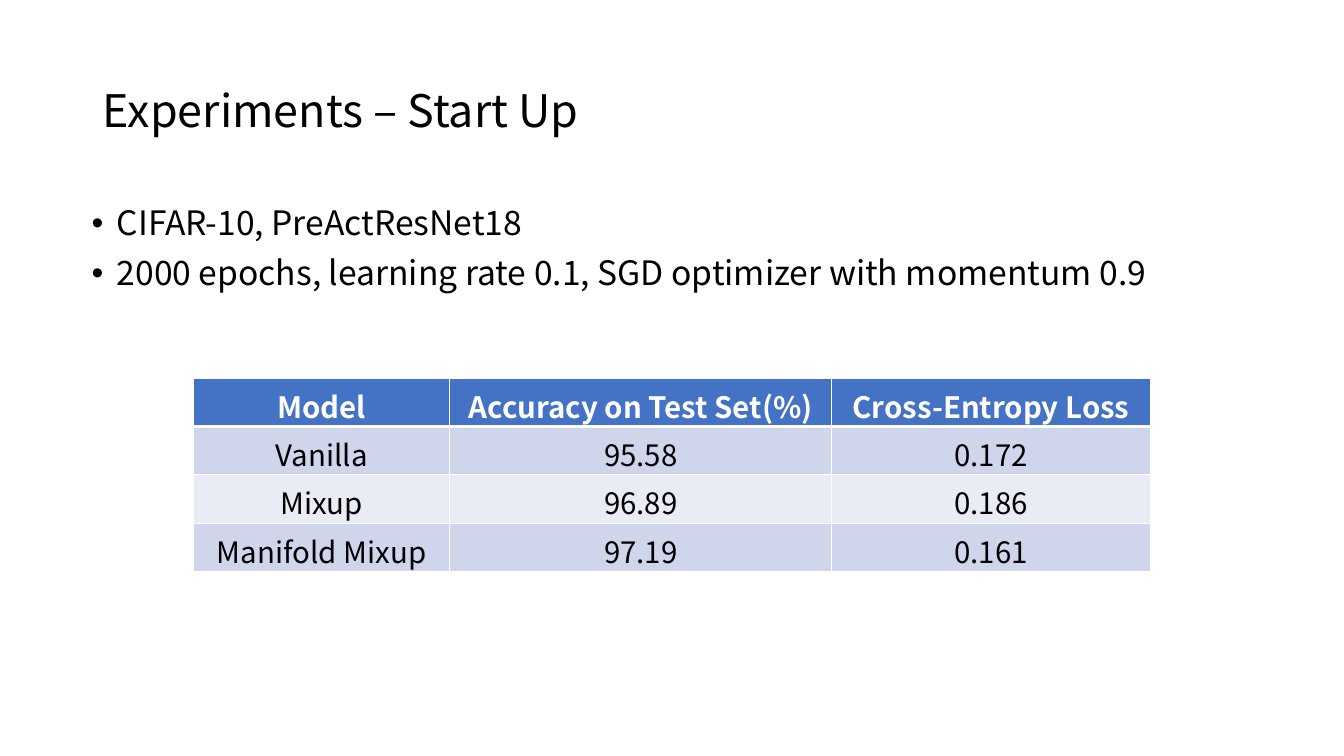
"""Build the experiment start-up slide with its setup bullets and results table."""
from lxml import etree
from pptx import Presentation
from pptx.dml.color import RGBColor
from pptx.enum.text import MSO_ANCHOR, MSO_AUTO_SIZE, PP_ALIGN
from pptx.oxml.ns import qn
from pptx.util import Inches, Pt

TITLE = "Experiments – Start Up"
BULLETS = [
    "CIFAR-10, PreActResNet18",
    "2000 epochs, learning rate 0.1, SGD optimizer with momentum 0.9",
]
RESULTS = [
    ("Model", "Accuracy on Test Set(%)", "Cross-Entropy Loss"),
    ("Vanilla", "95.58", "0.172"),
    ("Mixup", "96.89", "0.186"),
    ("Manifold Mixup", "97.19", "0.161"),
]

TITLE_BOX = (0.92, 0.4, 11.5, 1.45)
BULLET_BOX = (0.81, 2, 11.72, 4.76)
TABLE_LEFT, TABLE_TOP = 1.92, 3.75
COL_WIDTHS = (2.54, 3.79, 3.16)
ROW_HEIGHT = 0.48
BULLET_INDENT = 0.25
CELL_PAD_X, CELL_PAD_Y = 0.12, 0.06
THIN, THICK = 1, 3

FONT = "Noto Sans CJK SC"
BLACK = RGBColor(0x00, 0x00, 0x00)
WHITE = RGBColor(0xFF, 0xFF, 0xFF)
HEADER_BLUE = RGBColor(0x44, 0x72, 0xC4)
BANDS = (RGBColor(0xE9, 0xEB, 0xF5), RGBColor(0xCF, 0xD5, 0xEA))
LEFT, CENTER = PP_ALIGN.LEFT, PP_ALIGN.CENTER
TOP, MIDDLE = MSO_ANCHOR.TOP, MSO_ANCHOR.MIDDLE
NO_FIT = MSO_AUTO_SIZE.NONE


def write(p, text, size, color=BLACK, bold=False, align=LEFT, spacing=None, before=None):
    p.alignment = align
    p.line_spacing = spacing
    p.space_before = before
    r = p.add_run()
    r.text = text
    r.font.name, r.font.size, r.font.bold = FONT, Pt(size), bold
    r.font.color.rgb = color


def add_bullet(p):
    pPr = p._p.get_or_add_pPr()
    pPr.set("marL", str(Inches(BULLET_INDENT)))
    pPr.set("indent", str(-Inches(BULLET_INDENT)))
    etree.SubElement(pPr, qn("a:buFont")).set("typeface", "Arial")
    etree.SubElement(pPr, qn("a:buChar")).set("char", "•")


def add_borders(cell, top, bottom):
    tcPr = cell._tc.get_or_add_tcPr()
    for side, width in (("L", THIN), ("R", THIN), ("T", top), ("B", bottom)):
        ln = etree.SubElement(tcPr, qn(f"a:ln{side}"), w=str(Pt(width)))
        fill = etree.SubElement(ln, qn("a:solidFill"))
        etree.SubElement(fill, qn("a:srgbClr"), val=str(WHITE))


def add_title(s):
    sp = s.shapes.title
    sp.left, sp.top, sp.width, sp.height = map(Inches, TITLE_BOX)
    tf = sp.text_frame
    tf.auto_size, tf.vertical_anchor = NO_FIT, MIDDLE
    write(tf.paragraphs[0], TITLE, 32, spacing=0.9)


def add_bullets(s):
    tf = s.shapes.add_textbox(*map(Inches, BULLET_BOX)).text_frame
    tf.word_wrap, tf.vertical_anchor = True, TOP
    for i, text in enumerate(BULLETS):
        p = tf.add_paragraph() if i else tf.paragraphs[0]
        add_bullet(p)
        write(p, text, 24, spacing=0.9, before=Pt(10) if i else None)


def add_results(s):
    size = (sum(COL_WIDTHS), ROW_HEIGHT * len(RESULTS))
    table = s.shapes.add_table(len(RESULTS), len(COL_WIDTHS),
                               *map(Inches, (TABLE_LEFT, TABLE_TOP, *size))).table
    for col, width in zip(table.columns, COL_WIDTHS):
        col.width = Inches(width)
    for i, values in enumerate(RESULTS):
        header = i == 0
        table.rows[i].height = Inches(ROW_HEIGHT)
        for j, text in enumerate(values):
            cell = table.cell(i, j)
            add_borders(cell, THICK if i == 1 else THIN, THICK if header else THIN)
            cell.fill.solid()
            cell.fill.fore_color.rgb = HEADER_BLUE if header else BANDS[i % 2]
            cell.margin_left = cell.margin_right = Inches(CELL_PAD_X)
            cell.margin_top = cell.margin_bottom = Inches(CELL_PAD_Y)
            cell.vertical_anchor = MIDDLE
            write(cell.text_frame.paragraphs[0], text, 21, align=CENTER,
                  color=WHITE if header else BLACK, bold=header)


def main():
    prs = Presentation()
    prs.slide_width, prs.slide_height = Inches(13.33), Inches(7.5)
    s = prs.slides.add_slide(prs.slide_layouts[5])
    add_title(s)
    add_bullets(s)
    add_results(s)
    prs.save("out.pptx")


if __name__ == "__main__":
    main()
